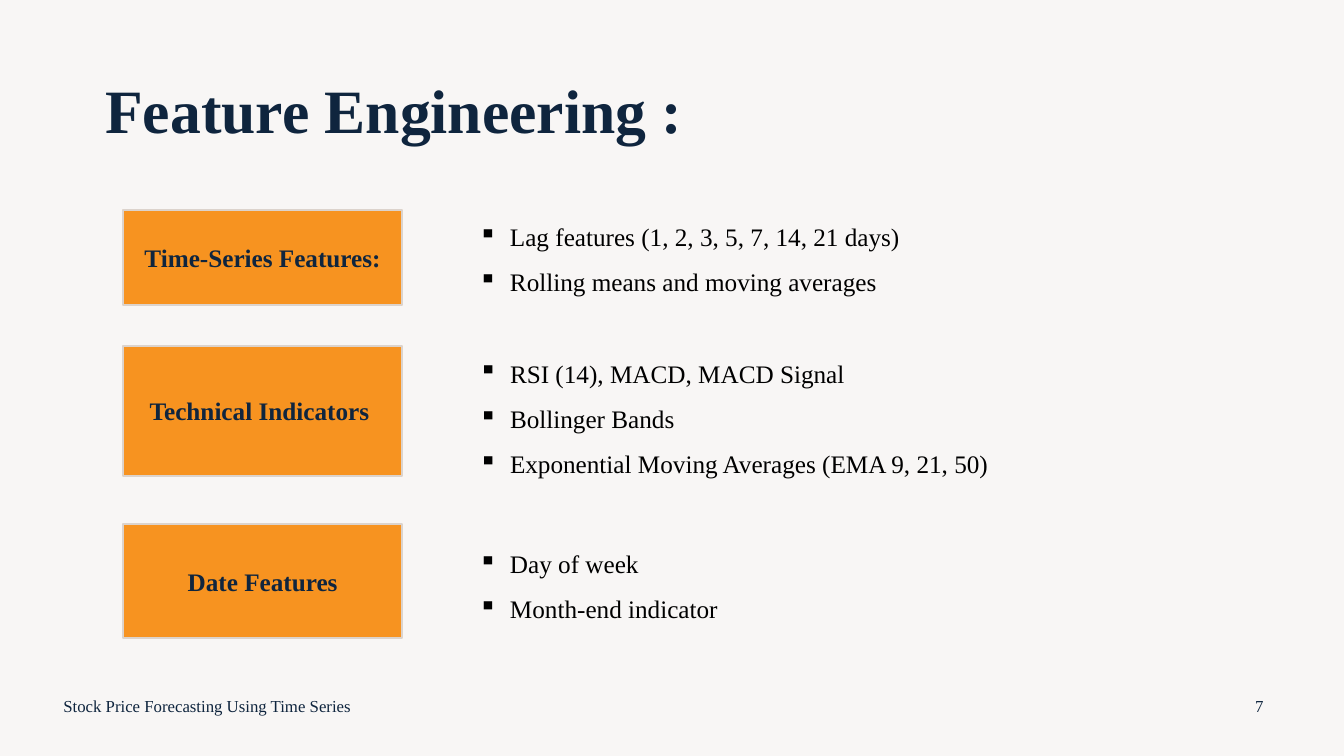
from lxml.etree import SubElement
from pptx import Presentation
from pptx.dml.color import RGBColor
from pptx.enum.shapes import MSO_SHAPE as Shape
from pptx.enum.text import MSO_ANCHOR as Anchor, PP_ALIGN as Align
from pptx.oxml.ns import qn
from pptx.util import Inches, Pt

NAVY = RGBColor(0x0F, 0x25, 0x3E)
ORANGE = RGBColor(0xF7, 0x93, 0x20)
SAND = RGBColor(0xDC, 0xD3, 0xCC)
PALE = RGBColor(0xF8, 0xF6, 0xF5)
BLACK = RGBColor(0, 0, 0)

FONT = "Times New Roman"
LABEL_LEFT, LABEL_WIDTH = 1.22, 2.77
LIST_LEFT = 4.65

# Label, its top and height; bullets, their top, width and height
FEATURES = [
    ("Time-Series Features:", 2.08, 0.95,
     ["Lag features (1, 2, 3, 5, 7, 14, 21 days)",
      "Rolling means and moving averages"], 2.02, 4.5, 0.95),
    ("Technical Indicators ", 3.43, 1.29,
     ["RSI (14), MACD, MACD Signal", "Bollinger Bands",
      "Exponential Moving Averages (EMA 9, 21, 50)"], 3.37, 5.71, 1.41),
    ("Date Features", 5.2, 1.13,
     ["Day of week", "Month-end indicator"], 5.26, 3.73, 0.96),
]


def write_text(paragraph, text, size=18, color=NAVY, bold=False,
               align=Align.LEFT, before=0, spacing=1.0):
    run = paragraph.add_run()
    run.text = text
    run.font.name, run.font.size = FONT, Pt(size)
    run.font.bold = bold
    run.font.color.rgb = color
    paragraph.alignment = align
    paragraph.space_before = Pt(before)
    paragraph.line_spacing = spacing


def add_bullet(paragraph, mark="▪", indent=Inches(0.31)):
    properties = paragraph._p.get_or_add_pPr()
    properties.set("marL", str(indent))
    properties.set("indent", str(-indent))
    SubElement(properties, qn("a:buChar")).set("char", mark)


class FeatureSlide:
    def __init__(self, slide):
        self.slide = slide
        background = slide.background.fill
        background.solid()
        background.fore_color.rgb = PALE

    def frame(self, left, top, width, height):
        box = self.slide.shapes.add_textbox(
            Inches(left), Inches(top), Inches(width), Inches(height))
        box.text_frame.word_wrap = True
        box.text_frame.vertical_anchor = Anchor.MIDDLE
        return box.text_frame

    def text(self, text, left, top, width, height, **style):
        frame = self.frame(left, top, width, height)
        write_text(frame.paragraphs[0], text, **style)

    def label(self, text, top, height):
        label = self.slide.shapes.add_shape(
            Shape.RECTANGLE, Inches(LABEL_LEFT), Inches(top),
            Inches(LABEL_WIDTH), Inches(height))
        label.shadow.inherit = False
        label.fill.solid()
        label.fill.fore_color.rgb = ORANGE
        label.line.color.rgb = SAND
        label.line.width = Pt(1.5)
        label.text_frame.word_wrap = True
        label.text_frame.vertical_anchor = Anchor.MIDDLE
        write_text(label.text_frame.paragraphs[0], text, bold=True,
                   align=Align.CENTER, before=10)

    def bullets(self, items, top, width, height):
        frame = self.frame(LIST_LEFT, top, width, height)
        for index, item in enumerate(items):
            paragraph = frame.add_paragraph() if index else frame.paragraphs[0]
            write_text(paragraph, item, color=BLACK, spacing=1.5)
            add_bullet(paragraph)


def main():
    deck = Presentation()
    deck.slide_width, deck.slide_height = Inches(13.33), Inches(7.5)
    page = FeatureSlide(deck.slides.add_slide(deck.slide_layouts[6]))

    # Title
    page.text("Feature Engineering :", 0.92, 0.4, 5.98, 1.45, size=44,
              bold=True, align=Align.CENTER, spacing=0.9)

    # Feature groups
    for name, top, height, items, list_top, list_width, list_height in FEATURES:
        page.label(name, top, height)
        page.bullets(items, list_top, list_width, list_height)

    # Footer and page number
    page.text("Stock Price Forecasting Using Time Series",
              0.53, 6.8, 4.5, 0.4, size=12)
    page.text("7", 12.24, 6.8, 0.5, 0.4, size=12, align=Align.CENTER)

    deck.save("out.pptx")


if __name__ == "__main__":
    main()
